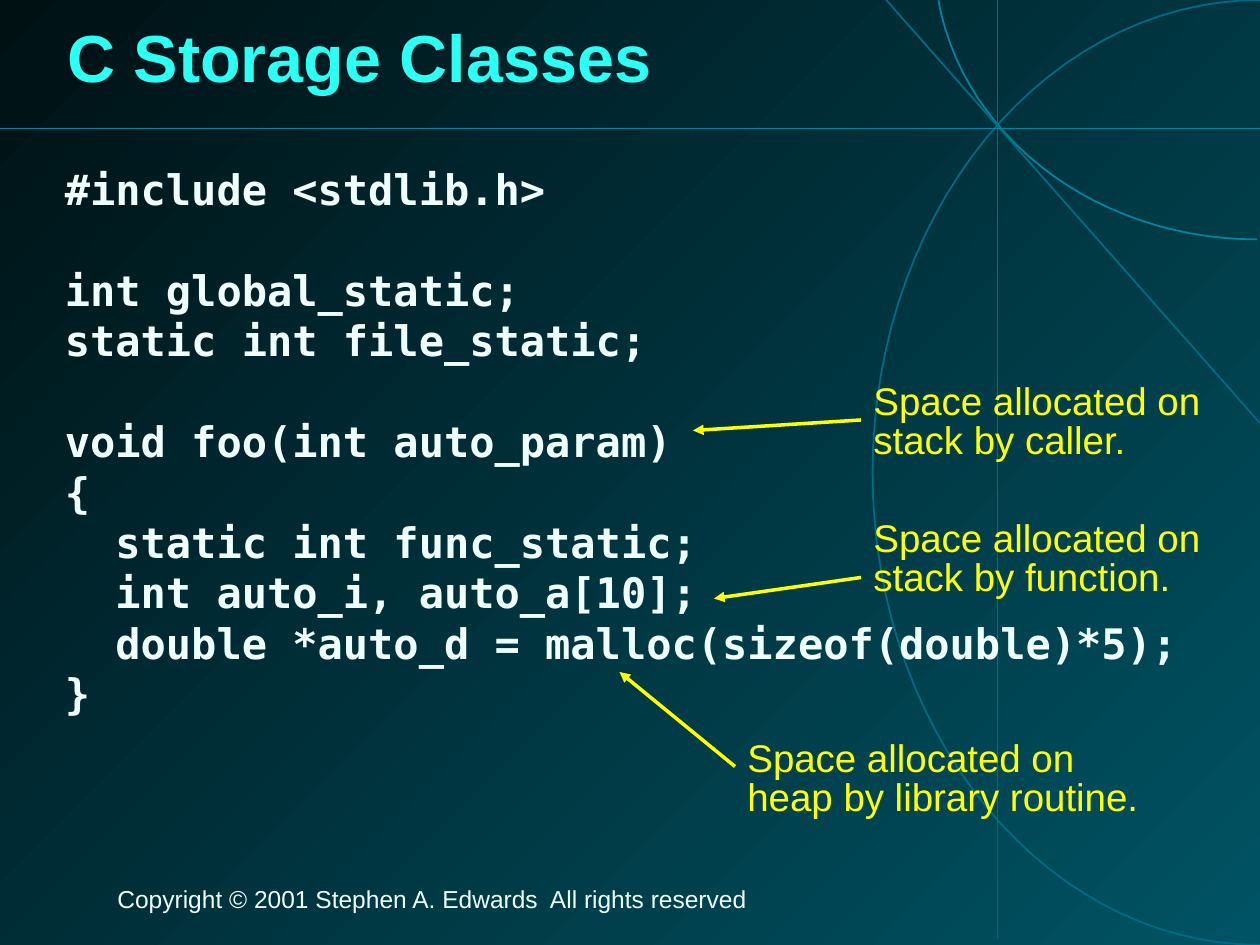
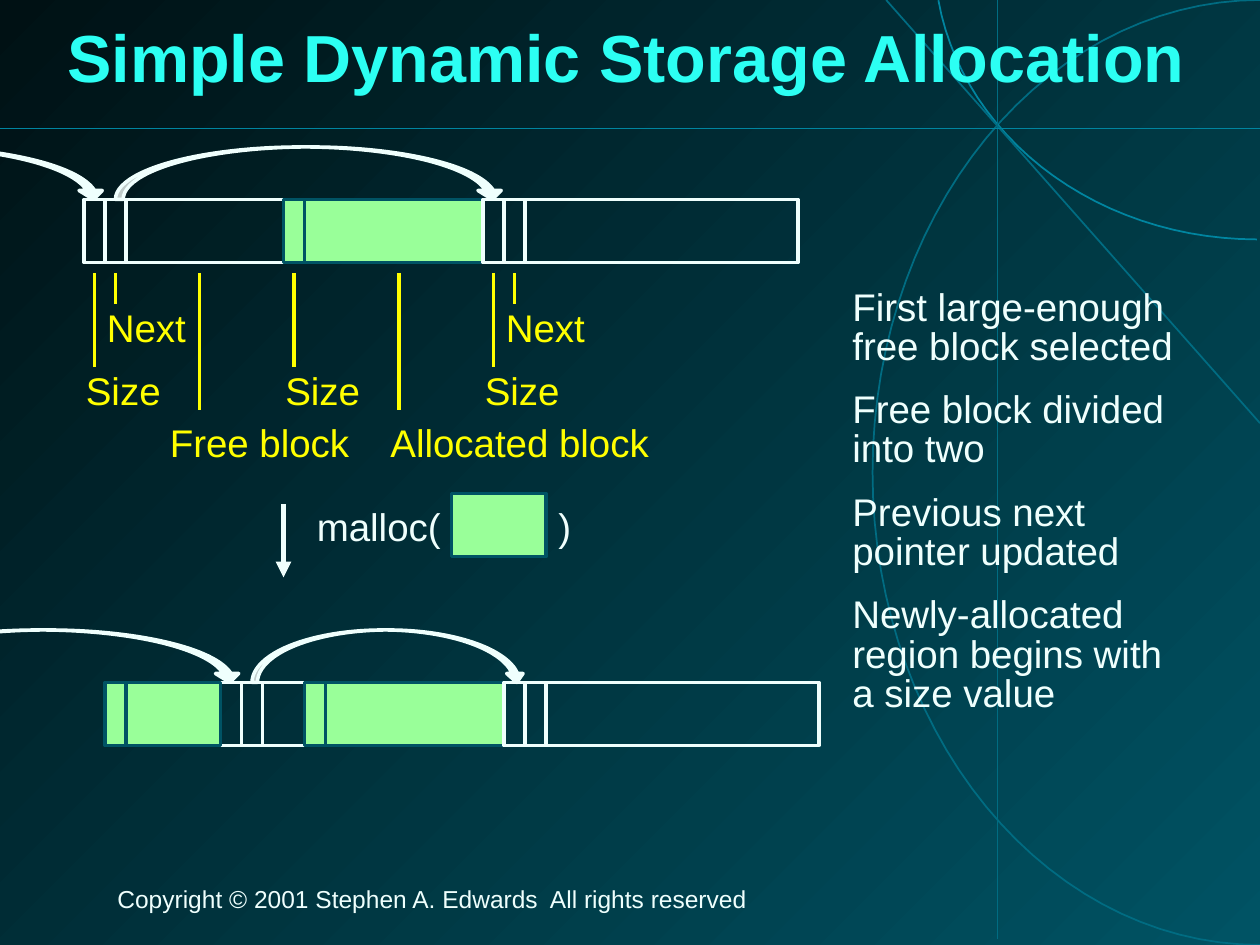
import math
from dataclasses import dataclass
from typing import NamedTuple

import lxml.etree
import pptx
import pptx.dml.color
import pptx.enum.shapes
import pptx.enum.text
import pptx.oxml.ns
import pptx.util

# Shared look: a grid of 120 columns by 90 rows, colours and fonts
COLUMNS, ROWS = 120, 90
CELL = pptx.util.Inches(10) // COLUMNS
COLORS = {
    "dark": "001114", "petrol": "005364", "arc": "006C82", "rule": "0085A0",
    "title": "2CFFF3", "text": "EFFFFD", "note": "FFFF00", "allocated": "99FF99",
    "shadow": "000000",
}
SANS, MONO = "Arial", "DejaVu Sans Mono"
COPYRIGHT = "Copyright © 2001 Stephen A. Edwards  All rights reserved"
CODE_LINE = 28.8
BLOCK_HEIGHT = 6
FIELD = 2  # columns taken by a size or next field


class Point(NamedTuple):
    column: float
    row: float


class Area(NamedTuple):
    column: float
    row: float
    width: float
    height: float


@dataclass(frozen=True)
class Arc:
    center: Point
    radius: Point
    first_angle: int
    last_angle: int
    color: str


@dataclass(frozen=True)
class Callout:
    text: str
    area: Area
    start: Point
    target: Point


@dataclass(frozen=True)
class Block:
    column: int
    width: int
    allocated: bool = False

    @property
    def fields(self) -> int:
        return 1 if self.allocated else 2


BACKDROP_ARCS = [
    Arc(Point(120, 45), Point(36.9, 45), 90, 270, "arc"),
    Arc(Point(119.7, -4.2), Point(30.7, 27), 90, 171, "rule"),
]
BACKDROP_LINES = [
    (Point(COLUMNS, 40.3), Point(84.4, 0), "arc"),
    (Point(95, 0), Point(95, 89.4), "arc"),
    (Point(0, 12.25), Point(COLUMNS, 12.25), "rule"),
]

# Each code group is set apart by one empty line's height
CODE_GROUPS = [
    ["#include <stdlib.h>"],
    ["int global_static;", "static int file_static;"],
    ["void foo(int auto_param)", "{", "  static int func_static;",
     "  int auto_i, auto_a[10];",
     "  double *auto_d = malloc(sizeof(double)*5);", "}"],
]
CALLOUTS = [
    Callout("Space allocated on stack by function.", Area(82, 49, 34, 8.8),
            Point(82, 55), Point(68, 57)),
    Callout("Space allocated on stack by caller.", Area(82, 36, 34, 8.8),
            Point(82, 40), Point(66, 41)),
    Callout("Space allocated on heap by library routine.", Area(70, 70, 40, 8.8),
            Point(70, 73), Point(59, 64)),
]

BEFORE_ROW, AFTER_ROW = 19, 65
BLOCKS_BEFORE = [Block(8, 19), Block(27, 19, True), Block(46, 30)]
BLOCKS_AFTER = [Block(21, 8), Block(29, 19, True), Block(48, 30), Block(10, 11, True)]
NEXT_ARROWS = [Area(11, 14, 37, 5), Area(24, 60, 26, 5),
               Area(-27, 14, 37, 5), Area(-14, 60, 37, 5)]
STEPS = [
    "First large-enough free block selected",
    "Free block divided into two",
    "Previous next pointer updated",
    "Newly-allocated region begins with a size value",
]


def cells(*values: float) -> list[int]:
    return [round(value * CELL) for value in values]


def rgb(color: str) -> pptx.dml.color.RGBColor:
    return pptx.dml.color.RGBColor.from_string(COLORS[color])


def set_line(line, color: str, width: float) -> None:
    line.color.rgb = rgb(color)
    line.width = pptx.util.Pt(width)


def add_run(paragraph, text: str, size: float, color: str,
            font_name: str = SANS, bold: bool = False):
    run = paragraph.add_run()
    run.text = text
    run.font.size = pptx.util.Pt(size)
    run.font.name = font_name
    run.font.bold = bold
    run.font.color.rgb = rgb(color)
    return run


def add_text_box(slide, area: Area):
    frame = slide.shapes.add_textbox(*cells(*area)).text_frame
    frame.word_wrap = True
    return frame


def add_text(slide, area: Area, texts: list[str], color: str = "note",
             size: float = 22) -> None:
    frame = add_text_box(slide, area)
    for index, text in enumerate(texts):
        paragraph = frame.add_paragraph() if index else frame.paragraphs[0]
        paragraph.line_spacing = 0.85
        if index:
            paragraph.space_before = pptx.util.Pt(13.8)
        add_run(paragraph, text, size, color)


def add_line(slide, start: Point, end: Point, color: str, width: float = 2,
             arrow: bool = False) -> None:
    connector = slide.shapes.add_connector(
        pptx.enum.shapes.MSO_CONNECTOR.STRAIGHT, *cells(*start, *end))
    set_line(connector.line, color, width)
    properties = connector._element.spPr
    if arrow:
        lxml.etree.SubElement(connector.line._get_or_add_ln(),
                              pptx.oxml.ns.qn("a:tailEnd"), type="triangle")
    lxml.etree.SubElement(properties, pptx.oxml.ns.qn("a:effectLst"))


def add_arc(slide, arc: Arc) -> None:
    points = []
    for angle in range(arc.first_angle, arc.last_angle + 1, 3):
        theta = math.radians(angle)
        points.append(cells(arc.center.column + arc.radius.column * math.cos(theta),
                            arc.center.row + arc.radius.row * math.sin(theta)))
    builder = slide.shapes.build_freeform(*points[0])
    builder.add_line_segments(points[1:], close=False)
    shape = builder.convert_to_shape()
    shape.shadow.inherit = False
    shape.fill.background()
    set_line(shape.line, arc.color, 1)


def add_preset(slide, kind, area: Area, fill: str | None, line: str):
    shape = slide.shapes.add_shape(kind, *cells(*area))
    shape.shadow.inherit = False
    if fill:
        shape.fill.solid()
        shape.fill.fore_color.rgb = rgb(fill)
    else:
        shape.fill.background()
    set_line(shape.line, line, 2)
    return shape


def add_rectangle(slide, area: Area, allocated: bool) -> None:
    fill, line = ("allocated", "petrol") if allocated else (None, "text")
    add_preset(slide, pptx.enum.shapes.MSO_SHAPE.RECTANGLE, area, fill, line)


def add_block(slide, block: Block, row: int) -> None:
    add_rectangle(slide, Area(block.column, row, block.width, BLOCK_HEIGHT),
                  block.allocated)
    for index in range(1, block.fields + 1):
        column = block.column + index * FIELD
        add_line(slide, Point(column, row), Point(column, row + BLOCK_HEIGHT),
                 "petrol" if block.allocated else "text")


def add_next_arrow(slide, area: Area) -> None:
    shape = add_preset(slide, pptx.enum.shapes.MSO_SHAPE.CURVED_DOWN_ARROW,
                       area, "text", "text")
    ratio = area.width / area.height
    for index, share in enumerate((0.02 * ratio, 0.06 * ratio, 0.17)):
        shape.adjustments[index] = share


def add_pointer_label(slide, text: str, column: float, length: float,
                      text_row: float, width: float, offset: float = 2) -> None:
    add_line(slide, Point(column, 26), Point(column, 26 + length), "note")
    add_text(slide, Area(column - offset, text_row, width, 4.9), [text])


def add_base_slide(presentation, title_text: str):
    slide = presentation.slides.add_slide(presentation.slide_layouts[5])
    for arc in BACKDROP_ARCS:
        add_arc(slide, arc)
    for start, end, color in BACKDROP_LINES:
        add_line(slide, start, end, color, 1)
    add_text(slide, Area(10, 84, 97, 3.6), [COPYRIGHT], "text", 14)

    # Title, brought in front of the backdrop
    title = slide.shapes.title
    slide.shapes._spTree.append(title._element)
    title.left, title.top, title.width, title.height = cells(5.2, 0, 110.5, 11.75)
    frame = title.text_frame
    frame.word_wrap = True
    frame.auto_size = pptx.enum.text.MSO_AUTO_SIZE.NONE
    frame.vertical_anchor = pptx.enum.text.MSO_ANCHOR.MIDDLE
    paragraph = frame.paragraphs[0]
    paragraph.alignment = pptx.enum.text.PP_ALIGN.LEFT
    paragraph.line_spacing = 0.87
    run = add_run(paragraph, title_text, 38, "title", bold=True)

    # Text shadow follows the fill in the run properties
    qn = pptx.oxml.ns.qn
    effects = lxml.etree.Element(qn("a:effectLst"))
    shadow = lxml.etree.SubElement(effects, qn("a:outerShdw"),
                                   dist="50800", dir="2700000")
    lxml.etree.SubElement(shadow, qn("a:srgbClr"), val=COLORS["shadow"])
    run._r.rPr.find(qn("a:solidFill")).addnext(effects)
    return slide


def build_storage_classes(presentation) -> None:
    slide = add_base_slide(presentation, "C Storage Classes")
    frame = add_text_box(slide, Area(5, 15, 109.5, 67))
    for group_index, group in enumerate(CODE_GROUPS):
        for line_index, code in enumerate(group):
            first = group_index == line_index == 0
            paragraph = frame.paragraphs[0] if first else frame.add_paragraph()
            if group_index and not line_index:
                paragraph.space_before = pptx.util.Pt(CODE_LINE)
            add_run(paragraph, code, 24, "text", MONO, True)
    for callout in CALLOUTS:
        add_line(slide, callout.start, callout.target, "note", arrow=True)
        add_text(slide, callout.area, [callout.text])


def build_dynamic_allocation(presentation) -> None:
    slide = add_base_slide(presentation, "Simple Dynamic Storage Allocation")

    # Memory before and after the call
    for row, blocks in ((BEFORE_ROW, BLOCKS_BEFORE), (AFTER_ROW, BLOCKS_AFTER)):
        for block in blocks:
            add_block(slide, block, row)
    for area in NEXT_ARROWS:
        add_next_arrow(slide, area)

    # Labels of fields and blocks
    for block in BLOCKS_BEFORE:
        labels = (("Size", 9, 35), ("Next", 3, 29))[:block.fields]
        for index, (text, length, text_row) in enumerate(labels):
            add_pointer_label(slide, text, block.column + 1 + index * FIELD,
                              length, text_row, 17)
    add_pointer_label(slide, "Free block", 19, 13, 40, 23, offset=4)
    add_pointer_label(slide, "Allocated block", 38, 13, 40, 33)

    # The call itself
    add_text(slide, Area(29, 48, 18, 4.9), ["malloc("], "text")
    add_text(slide, Area(52, 48, 4, 4.9), [")"], "text")
    add_line(slide, Point(27, 48), Point(27, 55), "text", 3, arrow=True)
    add_rectangle(slide, Area(43, 47, 9, BLOCK_HEIGHT), True)
    add_text(slide, Area(80, 27, 34, 41.8), STEPS, "text")


def main() -> None:
    presentation = pptx.Presentation()
    presentation.slide_width, presentation.slide_height = cells(COLUMNS, ROWS)
    fill = presentation.slide_master.background.fill
    fill.gradient()
    fill.gradient_angle = 315
    for stop, color in zip(fill.gradient_stops, ("dark", "petrol")):
        stop.color.rgb = rgb(color)
    build_storage_classes(presentation)
    build_dynamic_allocation(presentation)
    presentation.save("out.pptx")


if __name__ == "__main__":
    main()
